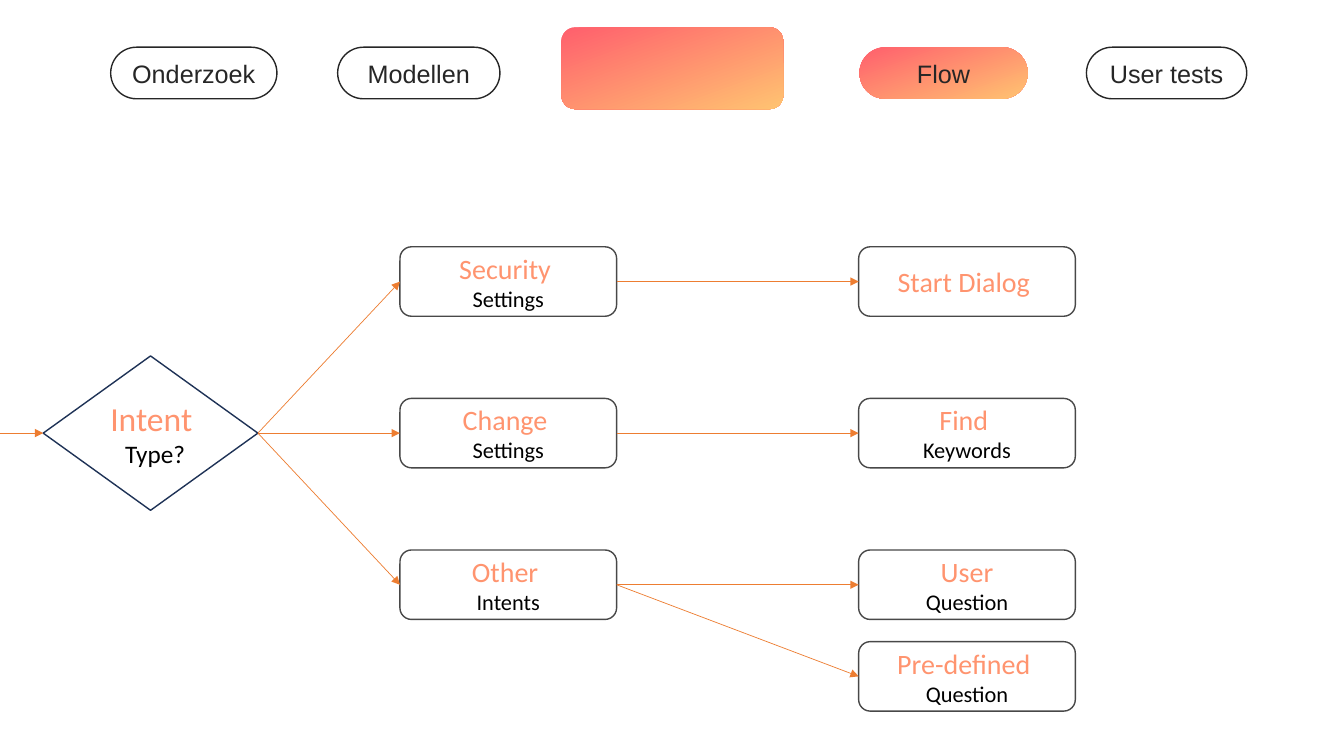
from dataclasses import dataclass

from lxml.etree import SubElement
from pptx import Presentation
from pptx.dml.color import RGBColor
from pptx.enum.shapes import MSO_CONNECTOR as Connector, MSO_SHAPE as Shape
from pptx.enum.text import MSO_ANCHOR as Anchor, PP_ALIGN as Align
from pptx.oxml.ns import qn
from pptx.util import Cm, Pt

TOP, LEFT, BOTTOM, RIGHT = range(4)


@dataclass(frozen=True)
class Theme:
    heading_font: str = "Arial"
    body_font: str = "Calibri"
    gradient_start: str = "FF5F6D"
    gradient_end: str = "FFC371"
    accent: str = "FF946F"
    ink: str = "262626"
    black: str = "000000"
    node_line: str = "484848"
    decision_line: str = "1E3256"
    arrow: str = "ED7D31"
    tab_size: int = 18
    node_sizes: tuple = (20, 16)
    decision_sizes: tuple = (24, 18)


THEME = Theme()


def color(value):
    return RGBColor.from_string(value)


def add_box(slide, kind, box, line=None, radius=None):
    """Add an unfilled outline, or a gradient shape when no line colour is given."""
    shape = slide.shapes.add_shape(kind, *(Cm(length) for length in box))
    shape.shadow.inherit = False
    if radius is not None:
        shape.adjustments[0] = radius
    if line:
        shape.fill.background()
        shape.line.color.rgb = color(line)
        shape.line.width = Pt(1)
    else:
        shape.fill.gradient()
        shape.fill.gradient_angle = 290
        stops = shape.fill.gradient_stops
        for stop, value in zip(stops, (THEME.gradient_start, THEME.gradient_end)):
            stop.color.rgb = color(value)
        stops[0].position, stops[1].position = 0, 1
        shape.line.fill.background()
    return shape


def write_lines(shape, lines, font, sizes, colors, inset_left=0):
    """Centre one paragraph per line, each with its own size and colour."""
    frame = shape.text_frame
    frame.word_wrap = False
    frame.vertical_anchor = Anchor.MIDDLE
    frame.margin_top = frame.margin_bottom = frame.margin_right = 0
    frame.margin_left = Cm(inset_left)
    for index, (text, size, value) in enumerate(zip(lines, sizes, colors)):
        paragraph = frame.add_paragraph() if index else frame.paragraphs[0]
        paragraph.alignment = Align.CENTER
        run = paragraph.add_run()
        run.text = text
        run.font.name = font
        run.font.size = Pt(size)
        run.font.color.rgb = color(value)


def add_arrow(slide, target, source=None):
    """Point at the target's left side from a source's right side or the slide edge."""
    middle = target.top + target.height // 2
    arrow = slide.shapes.add_connector(Connector.STRAIGHT, 0, middle, target.left, middle)
    if source is not None:
        arrow.begin_connect(source, RIGHT)
    arrow.end_connect(target, LEFT)
    arrow.line.color.rgb = color(THEME.arrow)
    arrow.line.width = Pt(0.5)
    SubElement(arrow.line._get_or_add_ln(), qn("a:tailEnd"), type="triangle")
    SubElement(arrow._element.spPr, qn("a:effectLst"))


def add_navigation(slide, left, top, height):
    tabs = [  # label, offset, width
        ("Onderzoek", 0, 4.19),
        ("Modellen", 5.72, 4.09),
        ("Flow", 18.87, 4.24),
        ("User tests", 24.59, 4.04),
    ]
    add_box(slide, Shape.ROUNDED_RECTANGLE, (left + 11.36, top - 0.5, 5.59, 2.06))
    for label, offset, width in tabs:
        line = None if label == "Flow" else THEME.ink
        tab = add_box(slide, Shape.ROUNDED_RECTANGLE,
                      (left + offset, top, width, height), line, radius=0.5)
        write_lines(tab, [label], THEME.heading_font, [THEME.tab_size], [THEME.ink])


def add_decision(slide, box, lines):
    decision = add_box(slide, Shape.FLOWCHART_DECISION, box, THEME.decision_line)
    write_lines(decision, lines, THEME.body_font, THEME.decision_sizes,
                (THEME.accent, THEME.black), inset_left=0.23)
    return decision


def add_node(slide, left, top, lines):
    node = add_box(slide, Shape.ROUNDED_RECTANGLE, (left, top, 5.46, 1.75), THEME.node_line)
    write_lines(node, lines, THEME.body_font, THEME.node_sizes, (THEME.accent, THEME.black))
    return node


def add_flow(slide, left, top):
    row_pitch, follow_up_gap = 3.82, 2.31
    intent_left, answer_left = left + 8.99, left + 20.55
    branches = [
        (("Security ", "Settings"), [("Start Dialog ",)]),
        (("Change ", "Settings"), [("Find ", "Keywords")]),
        (("Other ", "Intents"), [("User", "Question"), ("Pre-defined ", "Question")]),
    ]
    decision = add_decision(slide, (left, top + 2.75, 5.41, 3.89), ("Intent ", "Type?"))
    add_arrow(slide, decision)
    for row, (intent_lines, answers) in enumerate(branches):
        row_top = top + row * row_pitch
        intent = add_node(slide, intent_left, row_top, intent_lines)
        add_arrow(slide, intent, decision)
        for index, answer_lines in enumerate(answers):
            answer = add_node(slide, answer_left, row_top + index * follow_up_gap, answer_lines)
            add_arrow(slide, answer, intent)


def main():
    presentation = Presentation()
    presentation.slide_width, presentation.slide_height = Cm(33.87), Cm(19.05)
    slide = presentation.slides.add_slide(presentation.slide_layouts[6])
    add_navigation(slide, left=2.79, top=1.19, height=1.3)
    add_flow(slide, left=1.09, top=6.22)
    presentation.save("out.pptx")


if __name__ == "__main__":
    main()
